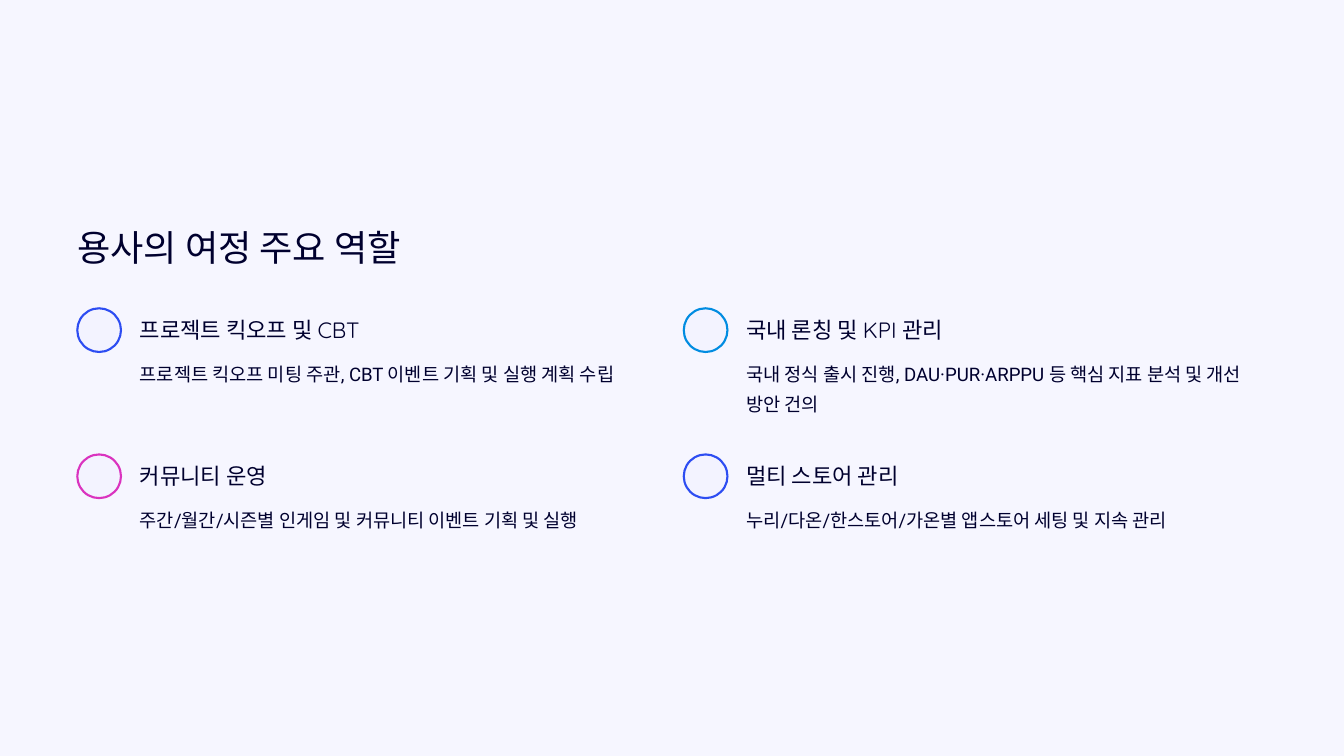
from pptx import Presentation
from pptx.dml.color import RGBColor
from pptx.enum.shapes import MSO_SHAPE
from pptx.util import Inches, Pt

ROUNDED = MSO_SHAPE.ROUNDED_RECTANGLE
COLORS = {
    "page": "F6F6FF",
    "badge": "F3F3FF",
    "ink": "00002E",
    "blue": "2D4DF2",
    "cyan": "018CE1",
    "pink": "DA33BF",
}
HEADING_FONT, BODY_FONT = "Quicksand", "Roboto"

# Heading, heading width, description, description height, ring colour
ROLES = [
    ("프로젝트 킥오프 및 CBT", 2.72,
     "프로젝트 킥오프 미팅 주관, CBT 이벤트 기획 및 실행 계획 수립", 0.37, "blue"),
    ("국내 론칭 및 KPI 관리", 2.69,
     "국내 정식 출시 진행, DAU·PUR·ARPPU 등 핵심 지표 분석 및 개선 방안 건의", 0.73, "cyan"),
    ("커뮤니티 운영", 2.69,
     "주간/월간/시즌별 인게임 및 커뮤니티 이벤트 기획 및 실행", 0.37, "pink"),
    ("멀티 스토어 관리", 2.69,
     "누리/다온/한스토어/가온별 앱스토어 세팅 및 지속 관리", 0.37, "blue"),
]


def color(name):
    return RGBColor.from_string(COLORS[name])


def add_text(page, left, top, width, height, text, font, size, leading, wrap=False):
    box = page.shapes.add_textbox(Inches(left), Inches(top), Inches(width), Inches(height))
    frame = box.text_frame
    frame.margin_left = frame.margin_right = frame.margin_top = frame.margin_bottom = 0
    frame.word_wrap = wrap
    frame.text = text
    para = frame.paragraphs[0]
    para.line_spacing = Pt(leading)
    span = para.runs[0]
    span.font.name = font
    span.font.size = Pt(size)
    span.font.color.rgb = color("ink")


def add_role(page, left, top, role):
    heading, heading_width, description, description_height, ring = role
    # Ring
    badge = page.shapes.add_shape(ROUNDED, Inches(left), Inches(top), Inches(0.52), Inches(0.52))
    badge.adjustments[0] = 0.5
    badge.shadow.inherit = False
    badge.fill.solid()
    badge.fill.fore_color.rgb = color("badge")
    badge.line.color.rgb = color(ring)
    badge.line.width = Pt(1.8)
    # Heading and description
    text_left = left + 0.745
    add_text(page, text_left, top + 0.08, heading_width, 0.34, heading, HEADING_FONT, 19, 24)
    add_text(page, text_left, top + 0.55, 6.2, description_height, description,
             BODY_FONT, 16, 26, wrap=True)


def add_roles(page, left, top):
    column_step, row_step = 7.22, 1.74
    for index, role in enumerate(ROLES):
        row, column = divmod(index, 2)
        add_role(page, left + column * column_step, top + row * row_step, role)


def main():
    deck = Presentation()
    deck.slide_width, deck.slide_height = Inches(16), Inches(9)
    page = deck.slides.add_slide(deck.slide_layouts[6])
    page.background.fill.solid()
    page.background.fill.fore_color.rgb = color("page")
    # Title
    add_text(page, 0.92, 2.67, 4.31, 0.54, "용사의 여정 주요 역할", HEADING_FONT, 31, 38.5)
    # Role grid
    add_roles(page, 0.92, 3.67)
    deck.save("out.pptx")


if __name__ == "__main__":
    main()
